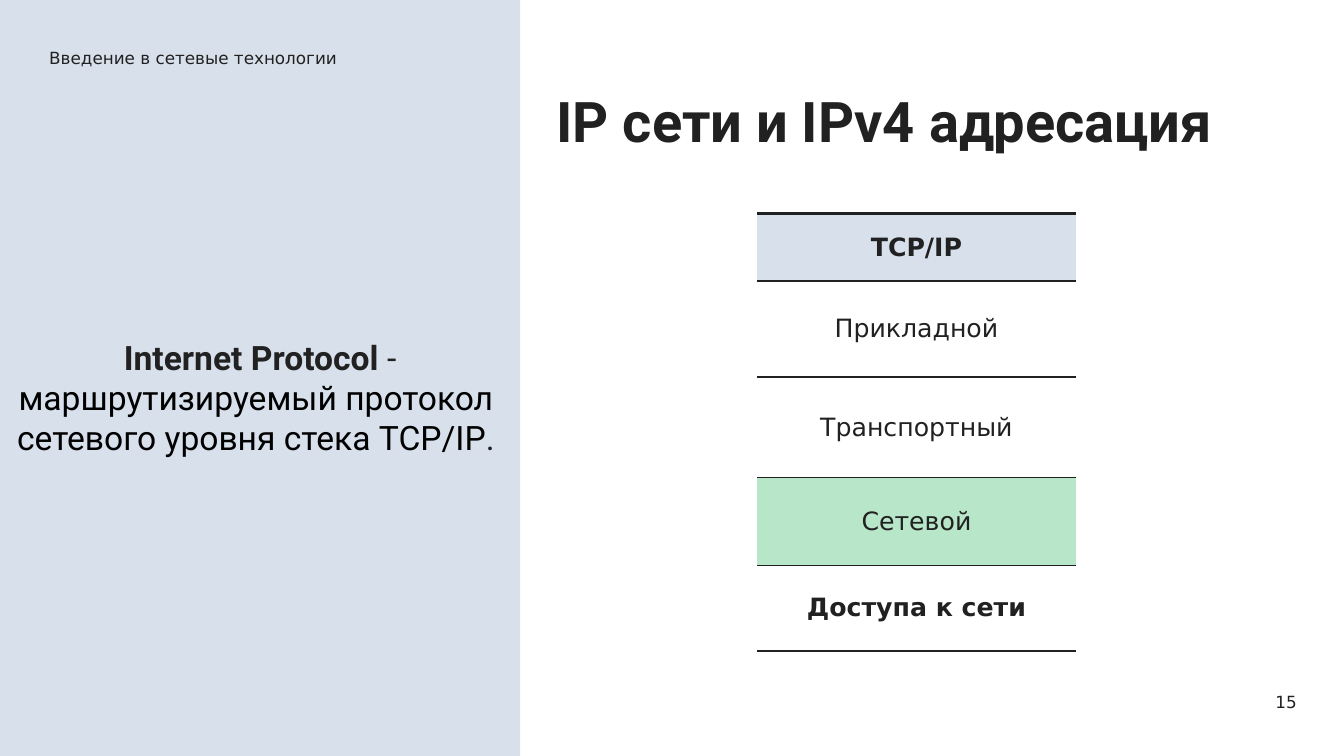
import pptx
import pptx.dml.color
import pptx.enum.shapes
import pptx.enum.text
import pptx.oxml
import pptx.oxml.ns
import pptx.util

Inches, Pt = pptx.util.Inches, pptx.util.Pt
ALIGN, ANCHOR = pptx.enum.text.PP_ALIGN, pptx.enum.text.MSO_ANCHOR
INK, PALE, GREEN, WHITE = "212121", "D8E0EB", "B8E6C8", "FFFFFF"
SANS = {"name": "DejaVu Sans", "size": Pt(12), "bold": False}
HEAD = {"name": "Roboto", "size": Pt(40), "bold": True}
BODY = {"name": "Roboto", "size": Pt(24), "bold": False}
CELL = SANS | {"size": Pt(18)}


def color(code):
    return pptx.dml.color.RGBColor.from_string(code)


def put(item, values):
    for key, value in values.items():
        setattr(item, key, value)


def write(para, text, font, ink=INK):
    run = para.add_run()
    run.text = text
    put(run.font, font)
    run.font.color.rgb = color(ink)


def label(slide, box, text, align):
    frame = slide.shapes.add_textbox(*map(Inches, box)).text_frame
    put(frame, {"word_wrap": True, "vertical_anchor": ANCHOR.MIDDLE})
    frame.paragraphs[0].alignment = align
    write(frame.paragraphs[0], text, SANS)


def title(slide, box, text):
    shape = slide.shapes.title
    put(shape, dict(zip(("left", "top", "width", "height"), map(Inches, box))))
    frame = shape.text_frame
    put(frame, {"word_wrap": True, "vertical_anchor": ANCHOR.TOP,
                "auto_size": pptx.enum.text.MSO_AUTO_SIZE.NONE})
    para = frame.paragraphs[0]
    put(para, {"alignment": ALIGN.LEFT, "line_spacing": Pt(48)})
    write(para, text, HEAD)


def panel(slide, box):
    rect = pptx.enum.shapes.MSO_SHAPE.RECTANGLE
    shape = slide.shapes.add_shape(rect, *map(Inches, box))
    shape.shadow.inherit = False
    shape.fill.solid()
    shape.fill.fore_color.rgb = color(PALE)
    shape.line.fill.background()
    frame = shape.text_frame
    put(frame, {"word_wrap": True, "vertical_anchor": ANCHOR.MIDDLE,
                "margin_top": Inches(0.38), "margin_bottom": 0})
    para = frame.paragraphs[0]
    para.alignment = ALIGN.CENTER
    write(para, "Internet Protocol ", BODY | {"bold": True})
    write(para, "- ", BODY)
    write(para, "маршрутизируемый протокол ", BODY, "000000")
    para.add_line_break()
    write(para, "сетевого уровня стека TCP/IP", BODY, "000000")
    write(para, ". ", BODY)


def edge(cell, sides):
    """Set borders from a dict of side letter to width; zero hides a side."""
    props = cell._tc.get_or_add_tcPr()
    for spot, (side, width) in enumerate(sides.items()):
        fill = (f'<a:solidFill><a:srgbClr val="{INK}"/></a:solidFill>'
                if width else "<a:noFill/>")
        props.insert(spot, pptx.oxml.parse_xml(
            f'<a:ln{side} {pptx.oxml.ns.nsdecls("a")} w="{Pt(width)}">'
            f'{fill}</a:ln{side}>'))


def stack(slide, box):
    """Draw the protocol layers as a one-column table."""
    rows = [("TCP/IP", 0.67, PALE, True), ("Прикладной", 0.95, WHITE, False),
            ("Транспортный", 1, WHITE, False), ("Сетевой", 0.87, GREEN, False),
            ("Доступа к сети", 0.85, WHITE, True)]
    rules = [2, 2, 1, 1, 1, 2]
    table = slide.shapes.add_table(len(rows), 1, *map(Inches, box)).table
    put(table, {"first_row": False, "horz_banding": False})
    for spot, (text, height, fill, bold) in enumerate(rows):
        table.rows[spot].height = Inches(height)
        cell = table.cell(spot, 0)
        cell.vertical_anchor = ANCHOR.MIDDLE
        cell.fill.solid()
        cell.fill.fore_color.rgb = color(fill)
        edge(cell, {"L": 0, "R": 0, "T": rules[spot], "B": rules[spot + 1]})
        para = cell.text_frame.paragraphs[0]
        para.alignment = ALIGN.CENTER
        write(para, text, CELL | {"bold": bold})


def main():
    deck = pptx.Presentation()
    put(deck, {"slide_width": Inches(13.33), "slide_height": Inches(7.5)})
    slide = deck.slides.add_slide(deck.slide_layouts.get_by_name("Title Only"))
    panel(slide, (0, 0, 5.16, 7.5))
    label(slide, (10.72, 6.76, 2.24, 0.4), "15", ALIGN.RIGHT)
    label(slide, (0.39, 0.37, 10.33, 0.4), "Введение в сетевые технологии",
          ALIGN.LEFT)
    title(slide, (5.42, 0.81, 7.34, 1.2), "IP сети и IPv4 адресация")
    stack(slide, (7.51, 2.12, 3.16, 4.34))
    deck.save("out.pptx")


if __name__ == "__main__":
    main()
